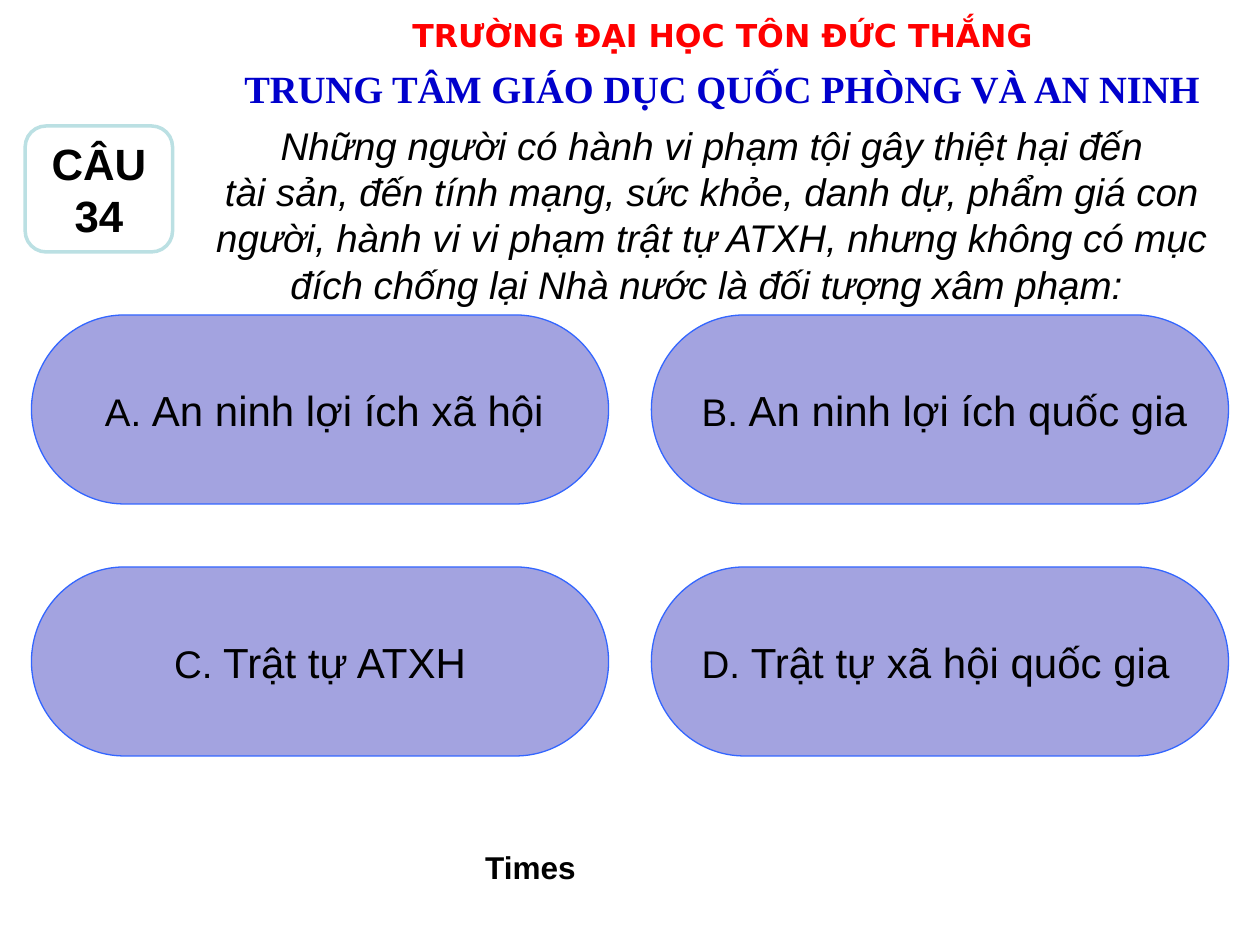
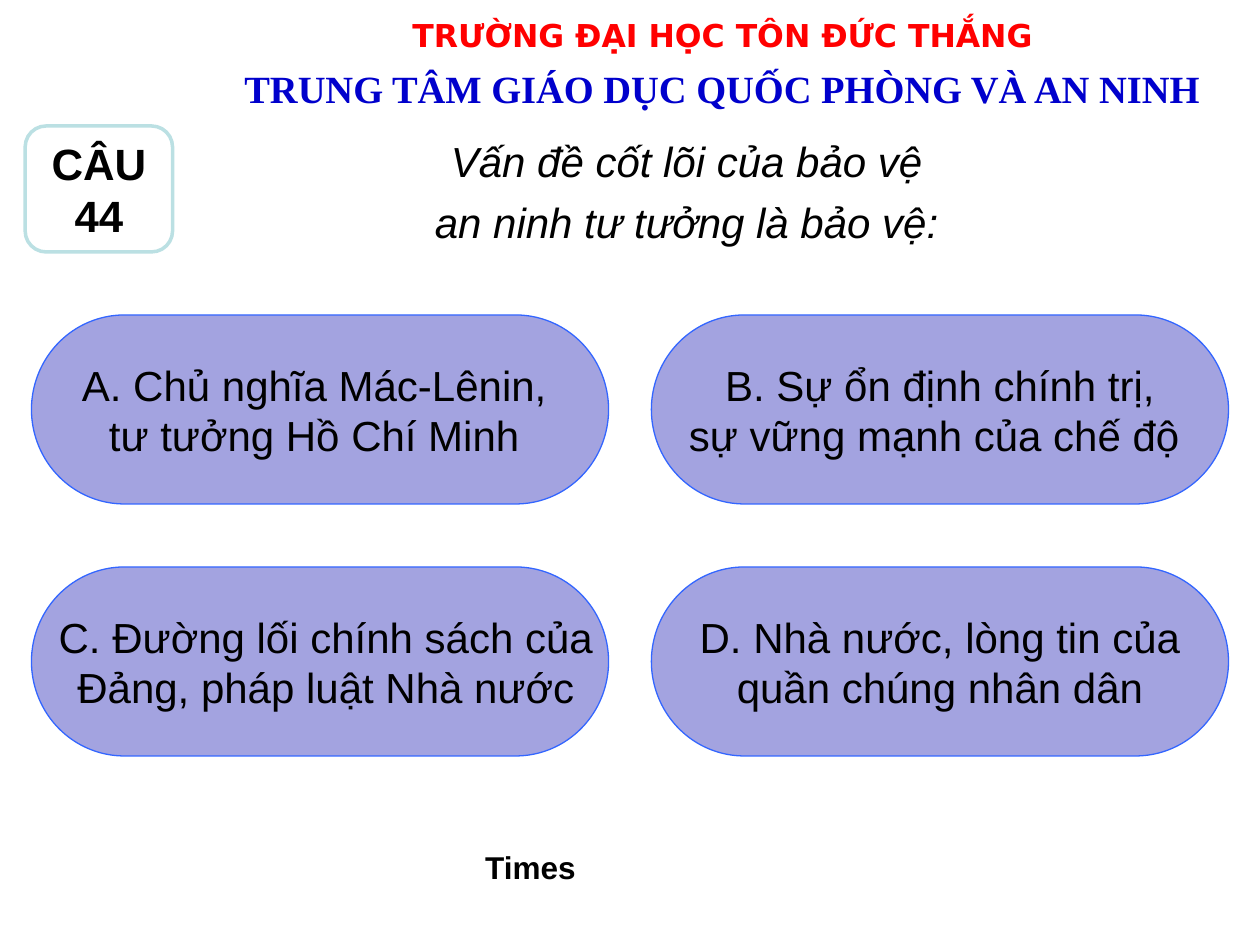
import pptx
import pptx.util
import pptx.dml.color
import pptx.enum.shapes
import pptx.enum.text

Inches = pptx.util.Inches
Pt = pptx.util.Pt
RGBColor = pptx.dml.color.RGBColor
SHAPE = pptx.enum.shapes.MSO_SHAPE
ANCHOR = pptx.enum.text.MSO_ANCHOR
ALIGN = pptx.enum.text.PP_ALIGN

RED = RGBColor(0xFF, 0x00, 0x00)
NAVY = RGBColor(0x00, 0x00, 0xCC)
BLACK = RGBColor(0x00, 0x00, 0x00)
WHITE = RGBColor(0xFF, 0xFF, 0xFF)
LAVENDER = RGBColor(0xA3, 0xA3, 0xE0)
BLUE = RGBColor(0x33, 0x66, 0xFF)
PALE_TEAL = RGBColor(0xBB, 0xE0, 0xE3)

SLIDE_W, SLIDE_H = 10, 7.5
MARGIN = 0.25
GUTTER = 0.34
COLUMN_W = (SLIDE_W - 2 * MARGIN - GUTTER) / 2
ANSWER_TOP, ANSWER_H, ROW_PITCH = 2.5, 1.5, 2
LABEL_SIZE, ANSWER_SIZE = 22, 24

QUESTIONS = [
    {
        "number": "34",
        "lines": [
            "Những người có hành vi phạm tội gây thiệt hại đến",
            "tài sản, đến tính mạng, sức khỏe, danh dự, phẩm giá con",
            "người, hành vi vi phạm trật tự ATXH, nhưng không có mục",
            "đích chống lại Nhà nước là đối tượng xâm phạm: ",
        ],
        "box": (1.55, 0.92, 8.2, 1.57),
        "size": 22,
        "gap": 0,
        "aligns": (ALIGN.CENTER, ALIGN.LEFT),
        "answers": [
            [" A. |An ninh lợi ích xã hội"],
            [" B. |An ninh lợi ích quốc gia"],
            ["C. |Trật tự ATXH"],
            [" D. |Trật tự xã hội quốc gia"],
        ],
    },
    {
        "number": "44",
        "lines": ["Vấn đề cốt lõi của bảo vệ", "an ninh tư tưởng là bảo vệ:"],
        "box": (2.68, 1.03, 5.54, 0.99),
        "size": 24,
        "gap": 6,
        "aligns": (ALIGN.CENTER, ALIGN.CENTER),
        "answers": [
            ["A. Chủ nghĩa Mác-Lênin, ", "tư tưởng Hồ Chí Minh "],
            [" B. Sự ổn định chính trị, ", "sự vững mạnh của chế độ "],
            [" C. Đường lối chính sách của", " Đảng, pháp luật Nhà nước"],
            [" D. Nhà nước, lòng tin của ", "quần chúng nhân dân"],
        ],
    },
]


def style(font, size, color=BLACK, name="Arial", bold=False, italic=False):
    font.size = Pt(size)
    font.color.rgb = color
    font.name = name
    font.bold = bold
    font.italic = italic


def add_text(s, box, lines, size, gap=0, **look):
    tf = s.shapes.add_textbox(*map(Inches, box)).text_frame
    tf.word_wrap = True
    tf.text = "\n".join(lines)
    for i, p in enumerate(tf.paragraphs):
        p.alignment = ALIGN.CENTER
        if i and gap:
            p.space_before = Pt(gap)
        for r in p.runs:
            style(r.font, size, **look)


def add_panel(s, kind, box, fill, line, line_width):
    sp = s.shapes.add_shape(kind, *map(Inches, box))
    sp.shadow.inherit = False
    sp.fill.solid()
    sp.fill.fore_color.rgb = fill
    sp.line.color.rgb = line
    sp.line.width = Pt(line_width)
    tf = sp.text_frame
    tf.word_wrap = False
    tf.vertical_anchor = ANCHOR.MIDDLE
    return tf


def add_header(s):
    add_text(s, (2.03, 0.08, 7.41, 0.34), ["TRƯỜNG ĐẠI HỌC TÔN ĐỨC THẮNG"], 18,
             color=RED, name="DejaVu Sans", bold=True)
    add_text(s, (1.73, 0.47, 8, 0.32), ["TRUNG TÂM GIÁO DỤC QUỐC PHÒNG VÀ AN NINH"], 22,
             color=NAVY, name="Times New Roman", bold=True)


def add_number(s, number):
    tf = add_panel(s, SHAPE.ROUNDED_RECTANGLE, (0.2, 1, 1.17, 1), WHITE, PALE_TEAL, 2)
    tf.text = f"CÂU\n{number}"
    for p in tf.paragraphs:
        p.alignment = ALIGN.CENTER
        style(p.runs[0].font, 25, bold=True)


def add_answer(s, index, lines, align):
    row, column = divmod(index, 2)
    box = (MARGIN + column * (COLUMN_W + GUTTER), ANSWER_TOP + row * ROW_PITCH,
           COLUMN_W, ANSWER_H)
    tf = add_panel(s, SHAPE.FLOWCHART_TERMINATOR, box, LAVENDER, BLUE, 0.75)
    for i, line in enumerate(lines):
        p = tf.add_paragraph() if i else tf.paragraphs[0]
        p.alignment = align
        *labels, answer = line.split("|")
        for text, size in [(t, LABEL_SIZE) for t in labels] + [(answer, ANSWER_SIZE)]:
            r = p.add_run()
            r.text = text
            style(r.font, size)


def add_question(prs, question):
    s = prs.slides.add_slide(prs.slide_layouts[6])
    add_header(s)
    add_text(s, question["box"], question["lines"], question["size"], question["gap"],
             italic=True)
    add_number(s, question["number"])
    for i, lines in enumerate(question["answers"]):
        add_answer(s, i, lines, question["aligns"][i % 2])
    add_text(s, (3.67, 6.68, 1.08, 0.4), ["Times"], 18, bold=True)


def main():
    prs = pptx.Presentation()
    prs.slide_width = Inches(SLIDE_W)
    prs.slide_height = Inches(SLIDE_H)
    for question in QUESTIONS:
        add_question(prs, question)
    prs.save("out.pptx")


if __name__ == "__main__":
    main()
